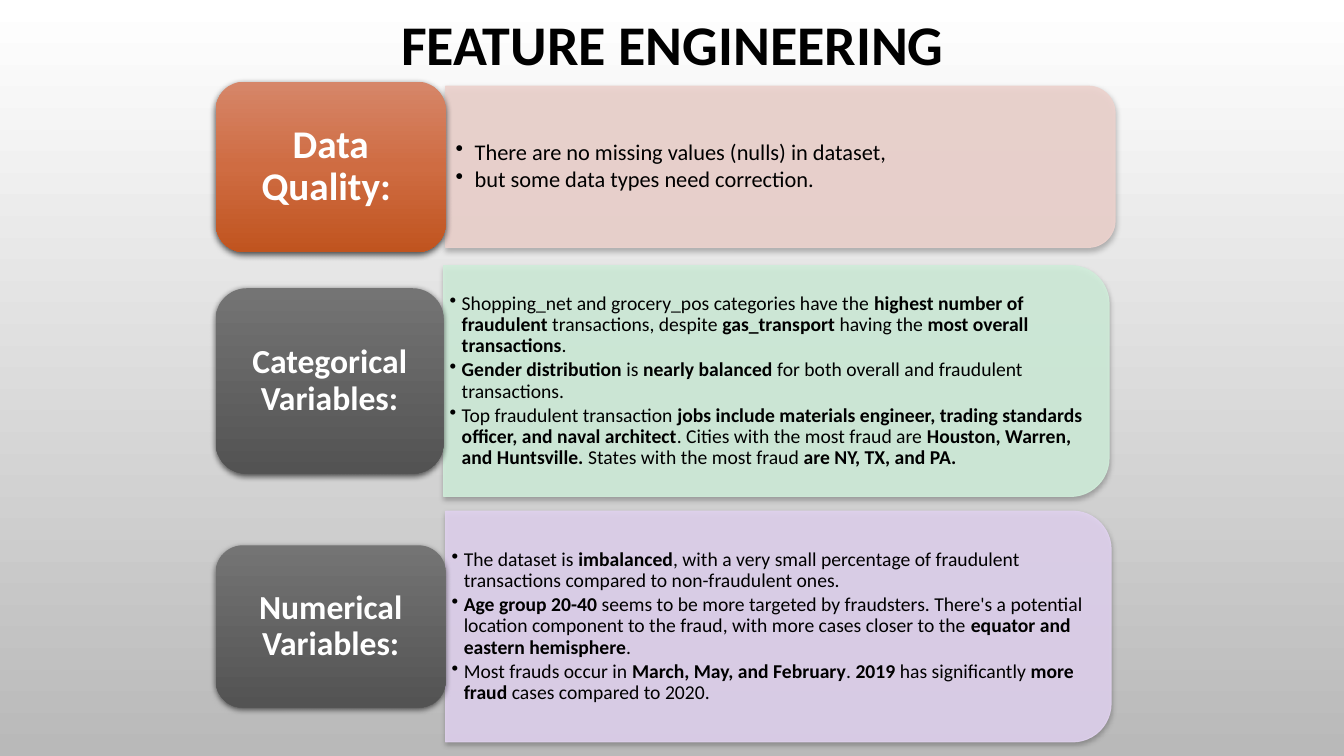
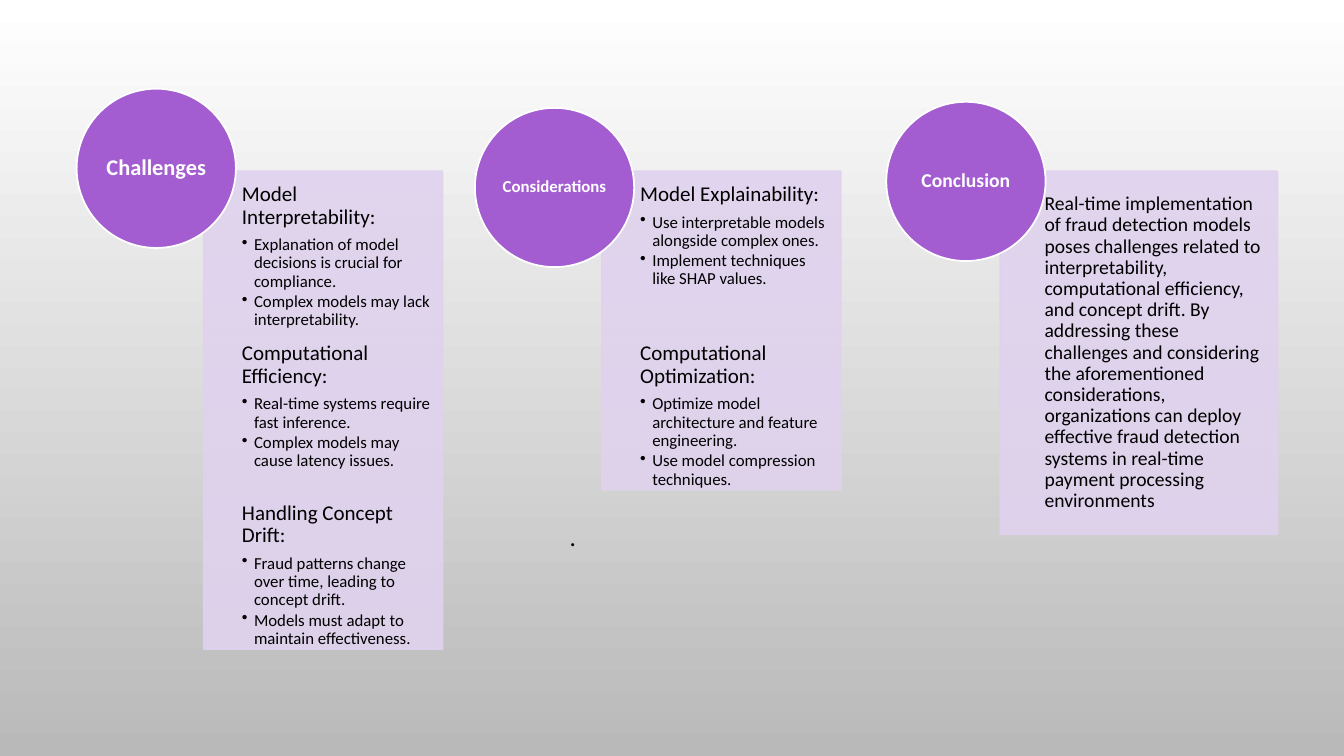
"""Build two slides on feature engineering and on deploying fraud detection models."""
import copy

import pptx
import pptx.enum.shapes
import pptx.enum.text
import pptx.oxml
import pptx.oxml.ns
import pptx.util
from pptx.dml.color import RGBColor
from pptx.util import Inches

BLACK, WHITE = "000000", "FFFFFF"
LAVENDER, PURPLE = "E0D2EE", "A35DD1"
ORANGE = ("D68669", "CF6C42", "C0541F")
GREY = ("747474", "535353")
SHAPE = pptx.enum.shapes.MSO_SHAPE
ALIGN = pptx.enum.text.PP_ALIGN
ANCHOR = pptx.enum.text.MSO_ANCHOR
qn = pptx.oxml.ns.qn


def paint(fill, *colors, opacity=100):
    """Fill with one colour, or with an even downward gradient of several."""
    if len(colors) == 1:
        fill.solid()
        fill.fore_color.rgb = RGBColor.from_string(colors[0])
        if opacity < 100:
            tone = fill._xPr.find(f"{qn('a:solidFill')}/{qn('a:srgbClr')}")
            tone.append(tone.makeelement(qn("a:alpha"), {"val": str(opacity * 1000)}))
        return
    fill.gradient()
    fill.gradient_angle = 270
    stops = fill._xPr.find(f"{qn('a:gradFill')}/{qn('a:gsLst')}")
    while len(stops) < len(colors):
        stops.append(copy.deepcopy(stops[0]))
    for position, (stop, color) in enumerate(zip(fill.gradient_stops, colors)):
        stop.position = position / (len(colors) - 1)
        stop.color.rgb = RGBColor.from_string(color)


def write(frame, text, size, color=BLACK, align=ALIGN.LEFT, bold=False, after=0.35, indent=0):
    """Add a paragraph in which asterisks switch bold on and off."""
    paragraph = frame.add_paragraph() if frame.text else frame.paragraphs[0]
    paragraph.alignment = align
    paragraph.line_spacing = 0.9
    paragraph.space_after = pptx.util.Pt(size * after)
    if indent:
        properties = paragraph._p.get_or_add_pPr()
        properties.set("marL", str(Inches(indent)))
        properties.set("indent", str(-Inches(indent)))
        properties.append(properties.makeelement(qn("a:buChar"), {"char": "•"}))
    for part, words in enumerate(text.split("*")):
        if words:
            run = paragraph.add_run()
            run.text = words
            run.font.name = "Calibri"
            run.font.size = pptx.util.Pt(size)
            run.font.bold = bold or part % 2 == 1
            paint(run.font.fill, color)


prs = pptx.Presentation()
prs.slide_width, prs.slide_height = Inches(13.33), Inches(7.5)
paint(prs.slide_master.background.fill, WHITE, "B9B9B9")

features = prs.slides.add_slide(prs.slide_layouts[5])
title = features.shapes.title
title.left, title.top, title.width, title.height = map(Inches, (1.45, 0.16, 10.44, 0.63))
title.text_frame.vertical_anchor = ANCHOR.MIDDLE
write(title.text_frame, "FEATURE ENGINEERING", 40, align=ALIGN.CENTER, bold=True, after=0)

LABEL_LEFT = 2.14
topics = [
    ("Data Quality: ", 28, ORANGE, (0.81, 2.28, 1.69), (69, 5, 2),
     "EDD3CE", (6.64, 1.6), 16, 0.19, 0.1, [
         "There are no missing values (nulls) in dataset,",
         "but some data types need correction."]),
    ("Categorical Variables:", 24, GREY, (2.86, 2.26, 1.84), (63, 4.5, 1.5),
     "D0EDDA", (6.6, 2.29), 14, 0.12, 0.06, [
         "Shopping_net and grocery_pos categories have the *highest number of fraudulent *"
         "transactions, despite *gas_transport *having the *most overall transactions*.",
         "*Gender distribution *is *nearly balanced *for both overall and fraudulent transactions.",
         "Top fraudulent transaction *jobs include materials engineer, trading standards officer, "
         "and naval architect*. Cities with the most fraud are *Houston, Warren, and Huntsville. *"
         "States with the most fraud *are NY, TX, and PA.*"]),
    ("Numerical Variables:", 24, GREY, (5.41, 2.28, 1.61), (63, 4.5, 1.5),
     LAVENDER, (6.6, 2.29), 14, 0.12, 0.06, [
         "The dataset is *imbalanced*, with a very small percentage of fraudulent transactions "
         "compared to non-fraudulent ones.",
         "*Age group 20-40 *seems to be more targeted by fraudsters. There's a potential location "
         "component to the fraud, with more cases closer to the *equator and eastern hemisphere*.",
         "Most frauds occur in *March, May, and February*. *2019* has significantly *more fraud *"
         "cases compared to 2020."]),
]
for (topic, topic_size, tones, (top, width, height), label_shadow,
     tint, (length, depth), size, indent, inset, findings) in topics:
    panel_left = LABEL_LEFT + width
    middle = top + height / 2
    panel = features.shapes.add_shape(
        SHAPE.ROUND_2_SAME_RECTANGLE, Inches(panel_left + (length - depth) / 2),
        Inches(middle - length / 2), Inches(depth), Inches(length))
    panel.rotation = 90
    paint(panel.fill, tint, opacity=90)
    paint(panel.line.fill, tint, opacity=90)
    panel.line.width = pptx.util.Pt(0.75)

    notes = features.shapes.add_textbox(
        Inches(panel_left), Inches(middle - depth / 2), Inches(length - 0.1), Inches(depth))
    notes.text_frame.margin_left = notes.text_frame.margin_right = Inches(inset)
    for finding in findings:
        write(notes.text_frame, finding, size, after=0.15, indent=indent)

    label = features.shapes.add_shape(
        SHAPE.ROUNDED_RECTANGLE, Inches(LABEL_LEFT), Inches(top), Inches(width), Inches(height))
    paint(label.fill, *tones)
    label.line.fill.background()
    label.text_frame.margin_left = label.text_frame.margin_right = Inches(0.11)
    write(label.text_frame, topic, topic_size, WHITE, ALIGN.CENTER, bold=True)
    for frame in (notes.text_frame, label.text_frame):
        frame.word_wrap = True
        frame.vertical_anchor = ANCHOR.MIDDLE

    for part, (strength, blur, distance) in ((panel, (28, 4, 2)), (label, label_shadow)):
        part.shadow.inherit = False
        part._element.spPr.find(qn("a:effectLst")).append(pptx.oxml.parse_xml(
            f'<a:outerShdw {pptx.oxml.ns.nsdecls("a")} blurRad="{pptx.util.Pt(blur)}" '
            f'dist="{pptx.util.Pt(distance)}" dir="5400000" rotWithShape="0">'
            f'<a:srgbClr val="{BLACK}"><a:alpha val="{strength * 1000}"/></a:srgbClr>'
            '</a:outerShdw>'))

deployment = prs.slides.add_slide(prs.slide_layouts[6])
dot = deployment.shapes.add_textbox(Inches(5.55), Inches(5.16), Inches(6.65), Inches(0.4))
dot.text_frame.word_wrap = True
write(dot.text_frame, ".", 18, after=0)

CARD_TOP, CIRCLE = 1.7, 1.58
columns = [
    ("Challenges", 16, (0.76, 0.88), (2.02, 2.37, 1.58), 0.38, 15, [
        ("Model Interpretability:",
         "Explanation of model decisions is crucial for compliance.",
         "Complex models may lack interpretability."),
        ("Computational Efficiency:",
         "Real-time systems require fast inference.",
         "Complex models may cause latency issues."),
        ("Handling Concept Drift:",
         "Fraud patterns change over time, leading to concept drift.",
         "Models must adapt to maintain effectiveness.")]),
    ("Considerations", 12, (4.71, 1.07), (5.97, 2.37, 1.58), 0.38, 15, [
        ("Model Explainability:",
         "Use interpretable models alongside complex ones.",
         "Implement techniques like SHAP values."),
        ("Computational Optimization:",
         "Optimize model architecture and feature engineering.",
         "Use model compression techniques.")]),
    ("Conclusion", 14, (8.79, 1.01), (9.92, 2.75, 3.6), 0.44, 14, [
        ("Real-time implementation of fraud detection models poses challenges related to "
         "interpretability, computational efficiency, and concept drift. By addressing these "
         "challenges and considering the aforementioned considerations, organizations can deploy "
         "effective fraud detection systems in real-time payment processing environments",)]),
]
for (theme, theme_size, (circle_left, circle_top), (left, width, height),
     inset, heading_size, sections) in columns:
    for row, (heading, *points) in enumerate(sections):
        card = deployment.shapes.add_shape(
            SHAPE.RECTANGLE, Inches(left), Inches(CARD_TOP + row * height),
            Inches(width), Inches(height))
        card.shadow.inherit = False
        paint(card.fill, LAVENDER, opacity=90)
        paint(card.line.fill, LAVENDER, opacity=90)
        card.line.width = pptx.util.Pt(1.25)
        body = card.text_frame
        body.word_wrap = True
        body.vertical_anchor = ANCHOR.TOP if points else ANCHOR.MIDDLE
        body.margin_left = Inches(inset)
        body.margin_top = body.margin_right = body.margin_bottom = Inches(0.12)
        write(body, heading, heading_size)
        for point in points:
            write(body, point, 12, after=0.15, indent=0.12)

    circle = deployment.shapes.add_shape(
        SHAPE.OVAL, Inches(circle_left), Inches(circle_top), Inches(CIRCLE), Inches(CIRCLE))
    circle.shadow.inherit = False
    paint(circle.fill, PURPLE)
    paint(circle.line.fill, WHITE)
    circle.line.width = pptx.util.Pt(1.25)
    caption = circle.text_frame
    caption.word_wrap = True
    caption.vertical_anchor = ANCHOR.MIDDLE
    caption.margin_left = caption.margin_top = caption.margin_right = caption.margin_bottom = 0
    write(caption, theme, theme_size, WHITE, ALIGN.CENTER, bold=True)

prs.save("out.pptx")
